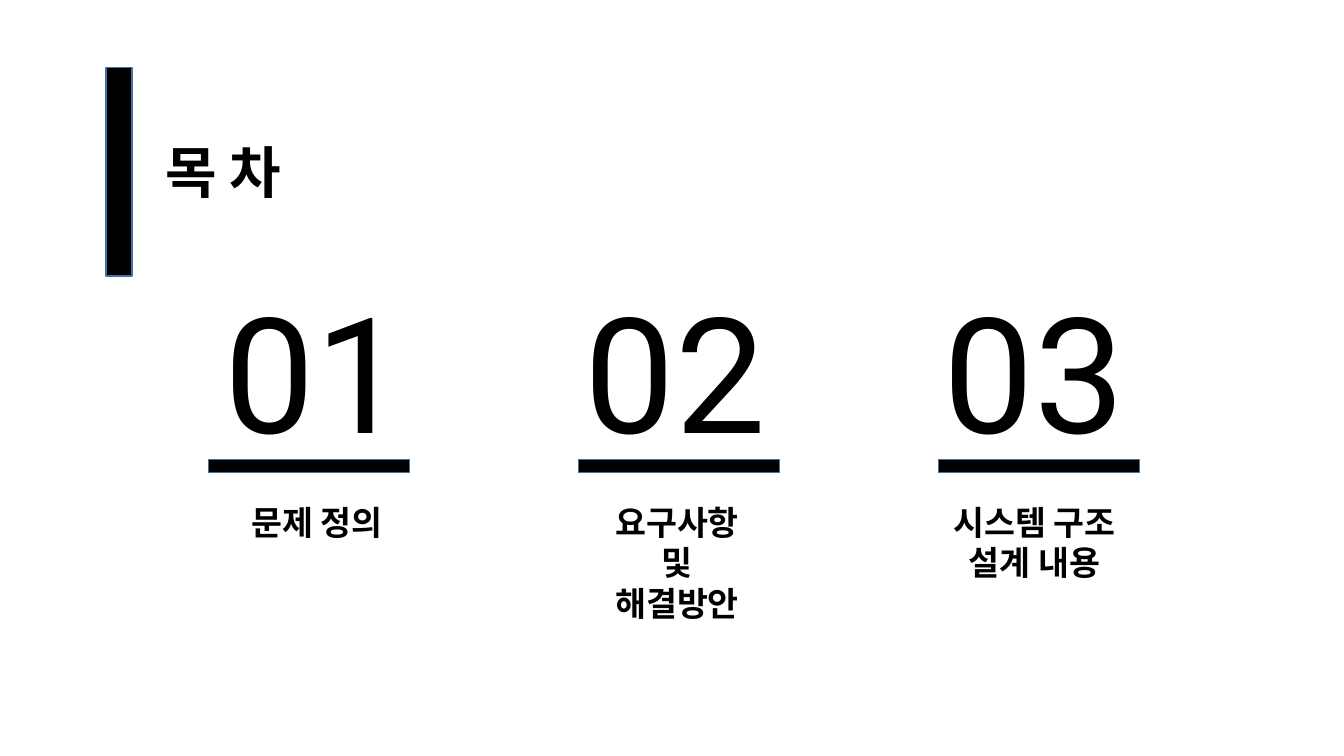
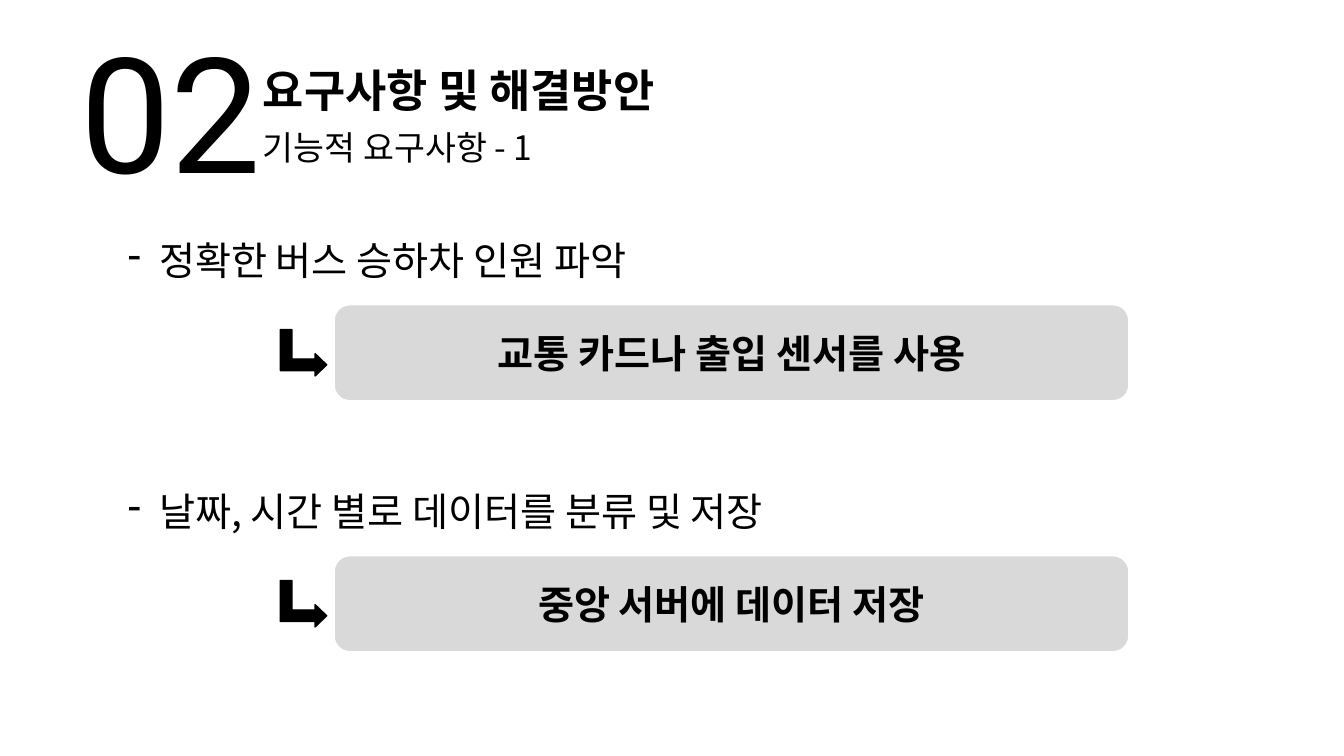
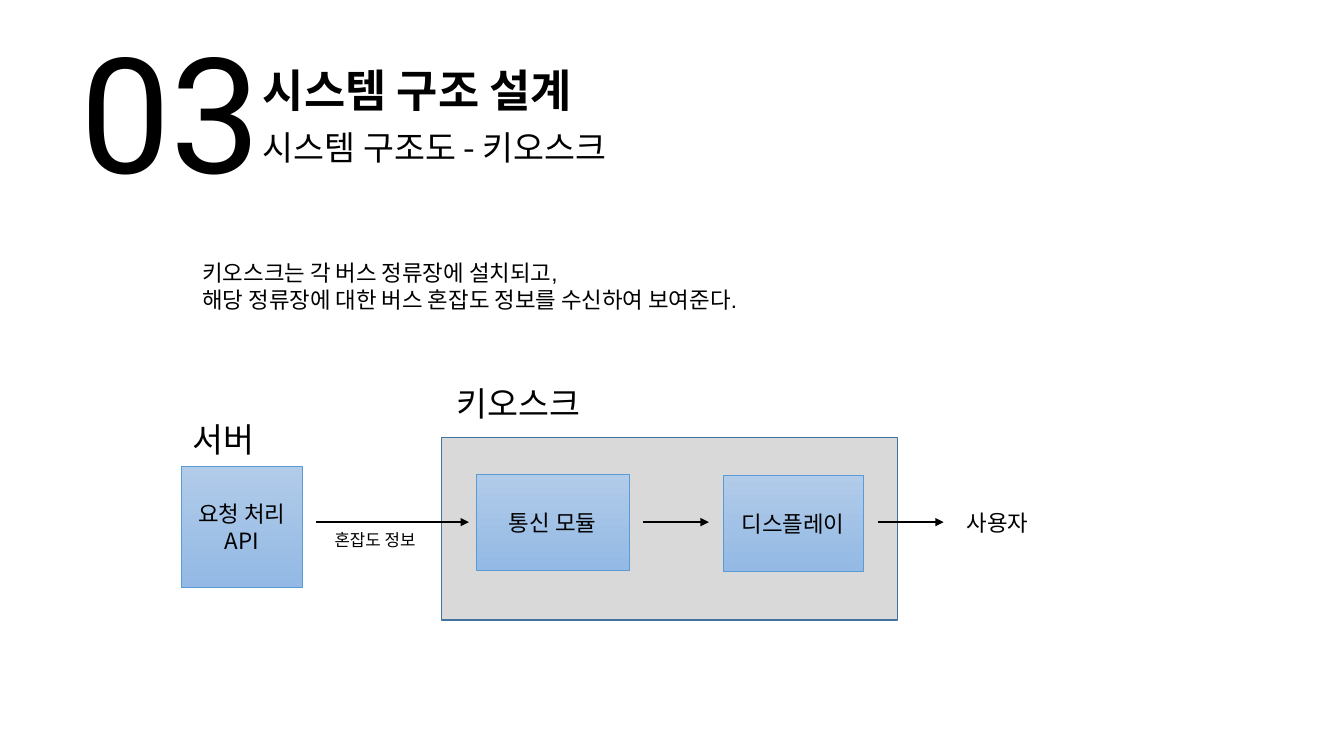
"""Build three slides of a bus congestion project: contents, requirements, kiosk structure."""
from dataclasses import dataclass

from lxml import etree
from pptx import Presentation
from pptx import util as u
from pptx.dml.color import RGBColor
from pptx.enum import shapes, text
from pptx.oxml.ns import qn

COLORS = {
    "black": "000000",
    "white": "FFFFFF",
    "gray": "D9D9D9",
    "edge": "43739E",
    "blue": "5B9BD5",
    "blue_top": "B1CBE9",
    "blue_bottom": "93B9E4",
}
KOREAN = "Noto Sans CJK KR"
DIGITS = "Roboto"
BODY = "Arial"
SHAPE = shapes.MSO_SHAPE
ALIGN = text.PP_ALIGN
Box = tuple[float, float, float, float]


@dataclass
class Chapter:
    number: str
    label: str
    number_left: float
    bar_left: float
    label_left: float
    label_width: float
    label_height: float


@dataclass
class Requirement:
    need: str
    need_width: float
    answer: str
    top: float


@dataclass
class Module:
    label: str
    box: Box


@dataclass
class Caption:
    label: str
    box: Box
    size: float
    wrap: bool = False
    font: str = KOREAN


CHAPTERS = [
    Chapter("01", "문제 정의", 2.13, 2.07, 2.31, 1.67, 0.5),
    Chapter("02", "요구사항\n및\n해결방안", 5.7, 5.74, 5.94, 1.55, 1.31),
    Chapter("03", "시스템 구조\n설계 내용", 9.26, 9.31, 9.26, 2, 0.91),
]
REQUIREMENTS = [
    Requirement("정확한 버스 승하차 인원 파악", 5.67, "교통 카드나 출입 센서를 사용", 2.3),
    Requirement("날짜, 시간 별로 데이터를 분류 및 저장", 7.05, "중앙 서버에 데이터 저장", 4.79),
]
MODULES = [
    Module("통신 모듈", (4.72, 4.71, 1.52, 0.95)),
    Module("디스플레이", (7.17, 4.72, 1.39, 0.95)),
    Module("요청 처리\nAPI", (1.8, 4.63, 1.2, 1.2)),
]
FLOW_Y = 5.18
FLOWS = [(3.13, 4.65), (6.38, 7.03), (8.71, 9.36)]
CAPTIONS = [
    Caption("사용자", (9.49, 5, 0.88, 0.37), 16),
    Caption("서버", (1.81, 4.11, 0.98, 0.5), 24, True),
    Caption("키오스크", (4.43, 3.75, 1.92, 0.5), 24, True),
    Caption("혼잡도 정보", (3.22, 5.21, 1.1, 0.3), 12),
    Caption(
        "키오스크는 각 버스 정류장에 설치되고,\n해당 정류장에 대한 버스 혼잡도 정보를 수신하여 보여준다.",
        (1.91, 2.52, 6.14, 0.64), 16, font=BODY,
    ),
]


def rgb(name: str) -> RGBColor:
    """Return the named colour."""
    return RGBColor.from_string(COLORS[name])


def inches(values: tuple[float, ...]) -> list[u.Inches]:
    """Convert numbers to lengths."""
    return [u.Inches(v) for v in values]


def write(tf, content: str, *, size: float, font: str = KOREAN, bold: bool = False,
          align=ALIGN.LEFT, bullet: str = "") -> None:
    """Fill a text frame with one formatted paragraph per line."""
    for i, line in enumerate(content.split("\n")):
        p = tf.add_paragraph() if i else tf.paragraphs[0]
        p.alignment = align
        if bullet:
            pPr = p._p.get_or_add_pPr()
            pPr.set("marL", str(u.Inches(0.31)))
            pPr.set("indent", str(-u.Inches(0.31)))
            etree.SubElement(pPr, qn("a:buFontTx"))
            etree.SubElement(pPr, qn("a:buChar"), char=bullet)
        r = p.add_run()
        r.text = line
        r.font.size = u.Pt(size)
        r.font.bold = bold
        r.font.name = font
        r.font.color.rgb = rgb("black")
        etree.SubElement(r._r.get_or_add_rPr(), qn("a:ea"), typeface=KOREAN)


def add_text(s, content: str, box: Box, *, wrap: bool = False, **style) -> None:
    """Add a text box that grows with its text."""
    tf = s.shapes.add_textbox(*inches(box)).text_frame
    tf.word_wrap = wrap
    tf.auto_size = text.MSO_AUTO_SIZE.SHAPE_TO_FIT_TEXT
    write(tf, content, **style)


def add_box(s, box: Box, *, kind=SHAPE.RECTANGLE, fill: str = "black",
            line: str = "edge", width: float = 1, label: str = "", **style):
    """Add a preset shape with an optional centred label."""
    sp = s.shapes.add_shape(kind, *inches(box))
    sp.shadow.inherit = False
    sp.fill.solid()
    sp.fill.fore_color.rgb = rgb(fill)
    sp.line.color.rgb = rgb(line)
    sp.line.width = u.Pt(width)
    if label:
        sp.text_frame.word_wrap = True
        sp.text_frame.vertical_anchor = text.MSO_ANCHOR.MIDDLE
        write(sp.text_frame, label, align=ALIGN.CENTER, **style)
    return sp


def add_number(s, number: str, left: float, top: float) -> None:
    """Add a large chapter number."""
    add_text(s, number, (left, top, 2.04, 2.04), size=115, font=DIGITS)


def add_heading(s, number: str, title: str, subtitle: str) -> None:
    """Add the chapter number, title and subtitle."""
    add_number(s, number, 0.7, 0.08)
    add_text(s, title, (2.51, 0.57, 7.05, 0.64), wrap=True, size=32, bold=True)
    add_text(s, subtitle, (2.51, 1.21, 6.29, 0.5), wrap=True, size=24)


def add_module(s, module: Module) -> None:
    """Add a system module with a vertical gradient."""
    sp = add_box(s, module.box, line="blue", width=0.5, label=module.label, size=16)
    sp.fill.gradient()
    sp.fill.gradient_angle = 270
    for stop, name in zip(sp.fill.gradient_stops, ("blue_top", "blue_bottom")):
        stop.color.rgb = rgb(name)
        stop.position = 0 if name == "blue_top" else 1


def add_flow(s, start: float, end: float) -> None:
    """Add a horizontal arrow on the flow line."""
    cx = s.shapes.add_connector(
        shapes.MSO_CONNECTOR.STRAIGHT, *inches((start, FLOW_Y, end, FLOW_Y)))
    cx.line.color.rgb = rgb("black")
    cx.line.width = u.Pt(1)
    etree.SubElement(cx.line._get_or_add_ln(), qn("a:tailEnd"), type="triangle")
    etree.SubElement(cx._element.spPr, qn("a:effectLst"))


def contents_slide(s) -> None:
    """Draw the table of contents."""
    add_box(s, (1.05, 0.67, 0.26, 2.07))
    add_text(s, "목 차", (1.54, 1.32, 1.52, 0.77), size=40, bold=True)
    for c in CHAPTERS:
        add_number(s, c.number, c.number_left, 2.65)
        add_box(s, (c.bar_left, 4.56, 1.99, 0.13))
        add_text(s, c.label, (c.label_left, 4.93, c.label_width, c.label_height),
                 size=24, bold=True, align=ALIGN.CENTER)


def requirements_slide(s) -> None:
    """Draw the requirements and their answers."""
    add_heading(s, "02", "요구사항 및 해결방안", "기능적 요구사항 - 1")
    for q in REQUIREMENTS:
        add_text(s, q.need, (1.17, q.top, q.need_width, 0.57), size=28, bullet="-")
        arrow = add_box(s, (2.78, q.top + 0.97, 0.46, 0.46),
                        kind=SHAPE.BENT_UP_ARROW, line="black")
        arrow.rotation = 90
        for i, value in enumerate((0.25, 0.24, 0.25)):
            arrow.adjustments[i] = value
        add_box(s, (3.31, q.top + 0.72, 7.89, 0.96), kind=SHAPE.ROUNDED_RECTANGLE,
                fill="gray", line="white", width=1.5, label=q.answer, size=28, bold=True)


def kiosk_slide(s) -> None:
    """Draw the kiosk structure."""
    add_heading(s, "03", "시스템 구조 설계", "시스템 구조도 - 키오스크")
    add_box(s, (4.38, 4.34, 4.52, 1.81), fill="gray")
    for module in MODULES:
        add_module(s, module)
    for start, end in FLOWS:
        add_flow(s, start, end)
    for c in CAPTIONS:
        add_text(s, c.label, c.box, wrap=c.wrap, size=c.size, font=c.font)


def main() -> None:
    """Build and save the presentation."""
    prs = Presentation()
    prs.slide_width, prs.slide_height = inches((13.33, 7.5))
    for draw in (contents_slide, requirements_slide, kiosk_slide):
        draw(prs.slides.add_slide(prs.slide_layouts[6]))
    prs.save("out.pptx")


if __name__ == "__main__":
    main()
